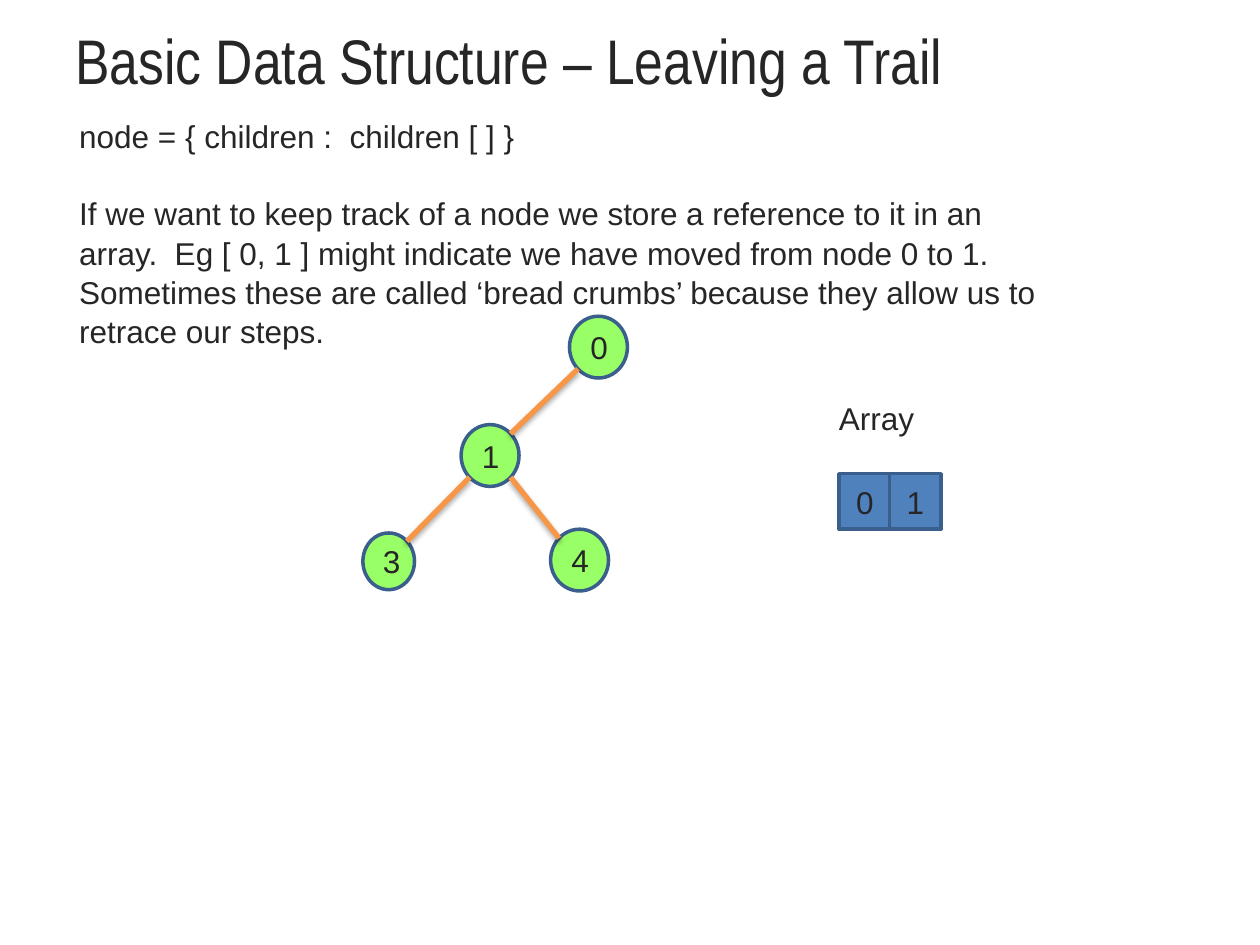
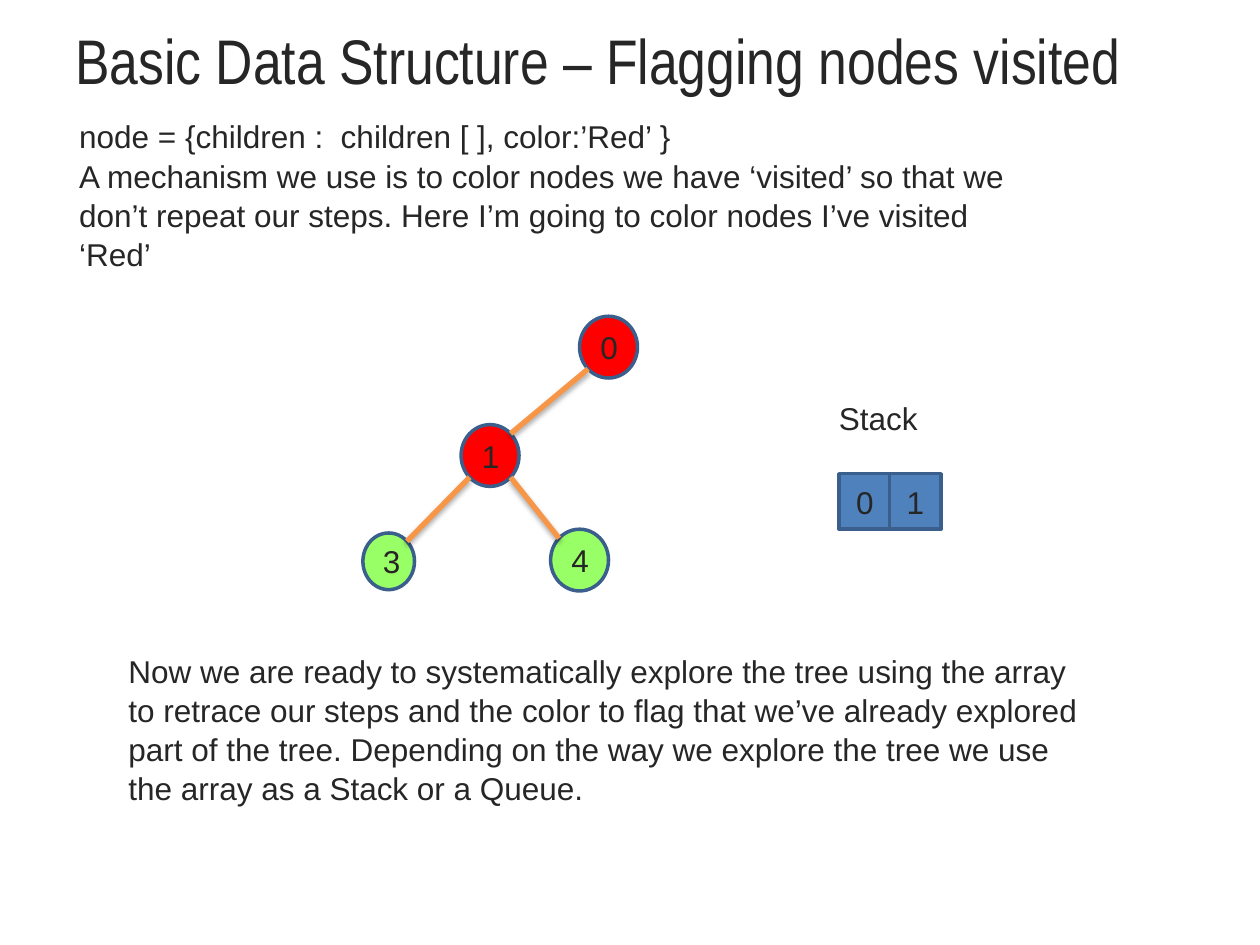
"""Build two slides on trails and visited flags in a small tree."""
from dataclasses import dataclass
from math import sqrt

from lxml import etree
from pptx import Presentation
from pptx.dml.color import RGBColor
from pptx.enum.shapes import MSO_CONNECTOR, MSO_SHAPE
from pptx.enum.text import MSO_ANCHOR, PP_ALIGN
from pptx.oxml.ns import qn
from pptx.util import Emu, Pt

OVAL, RECTANGLE = MSO_SHAPE.OVAL, MSO_SHAPE.RECTANGLE
STRAIGHT = MSO_CONNECTOR.STRAIGHT
TOP, MIDDLE = MSO_ANCHOR.TOP, MSO_ANCHOR.MIDDLE
LEFT, CENTER = PP_ALIGN.LEFT, PP_ALIGN.CENTER


@dataclass(frozen=True)
class Theme:
    """Colours, fonts and sizes of the deck."""
    ink: str = "262626"
    outline: str = "3A5F8C"
    unvisited: str = "99FF66"
    visited: str = "FF0000"
    cell: str = "4F81BD"
    edge: str = "F79646"
    shadow: str = "000000"
    title_font: str = "Arial Narrow"
    body_font: str = "Arial"
    title_size: int = 36
    body_size: int = 18
    outline_width: int = 2
    edge_width: int = 3
    line_spacing: float = 1.04
    blank_line: float = 21.6


THEME = Theme()
EMU_PER_PX = 9144
SLIDE_SIZE = (1000, 750)
TITLE_BOX = (50, 8, 900, 78)
LABEL_BOX = (656, 311, 179, 40)
FIRST_CELL = (666, 376, 41, 44)
CELL_STEP = 40

TREE_NODES = {
    "0": (452, 251, 46, 49),
    "1": (366, 337, 46, 49),
    "3": (288, 423, 41, 45),
    "4": (437, 420, 46, 49),
}
TREE_EDGES = [("0", "1"), ("1", "3"), ("1", "4")]

SLIDES = [
    {
        "title": "Basic Data Structure – Leaving a Trail",
        "root_shift": 0,
        "visited": "",
        "label": "Array",
        "trail": "01",
        "gap": THEME.blank_line,
        "texts": [
            ((53, 87, 782, 192), [
                "node = { children :  children [ ] }",
                "If we want to keep track of a node we store a reference to it in an "
                "array.  Eg [ 0, 1 ] might indicate we have moved from node 0 to 1. "
                "Sometimes these are called ‘bread crumbs’ because they allow us to "
                "retrace our steps.",
            ]),
        ],
    },
    {
        "title": "Basic Data Structure – Flagging nodes visited",
        "root_shift": 8,
        "visited": "01",
        "label": "Stack",
        "trail": "01",
        "gap": 0,
        "texts": [
            ((53, 87, 782, 131), [
                "node = {children :  children [ ], color:’Red’ }",
                "A mechanism we use is to color nodes we have ‘visited’ so that we "
                "don’t repeat our steps. Here I’m going to color nodes I’ve visited "
                "‘Red’",
            ]),
            ((92, 511, 782, 131), [
                "Now we are ready to systematically explore the tree using the array "
                "to retrace our steps and the color to flag that we’ve already "
                "explored part of the tree. Depending on the way we explore the tree "
                "we use the array as a Stack or a Queue.",
            ]),
        ],
    },
]


def px(*lengths):
    return [Emu(round(length * EMU_PER_PX)) for length in lengths]


def style_paragraph(para, text, font=THEME.body_font, size=THEME.body_size, align=LEFT):
    para.text = text
    para.alignment = align
    para.font.name = font
    para.font.size = Pt(size)
    para.font.color.rgb = RGBColor.from_string(THEME.ink)


def add_text(page, box, lines, gap=0, spacing=THEME.line_spacing, anchor=TOP, **style):
    frame = page.shapes.add_textbox(*px(*box)).text_frame
    frame.word_wrap = True
    frame.vertical_anchor = anchor
    for index, line in enumerate(lines):
        para = frame.add_paragraph() if index else frame.paragraphs[0]
        style_paragraph(para, line, **style)
        para.line_spacing = spacing
        if index:
            para.space_before = Pt(gap)


def add_labelled_shape(page, kind, box, text, fill):
    shape = page.shapes.add_shape(kind, *px(*box))
    shape.shadow.inherit = False
    shape.fill.solid()
    shape.fill.fore_color.rgb = RGBColor.from_string(fill)
    shape.line.color.rgb = RGBColor.from_string(THEME.outline)
    shape.line.width = Pt(THEME.outline_width)
    shape.text_frame.vertical_anchor = MIDDLE
    style_paragraph(shape.text_frame.paragraphs[0], text, align=CENTER)


def diagonal_point(box, side, drop):
    left, top, width, height = box
    return (left + width / 2 * (1 + side / sqrt(2)),
            top + height / 2 * (1 + drop / sqrt(2)))


def add_edge(page, parent, child):
    side = 1 if child[0] > parent[0] else -1
    start = diagonal_point(parent, side, 1)
    end = diagonal_point(child, -side, -1)
    edge = page.shapes.add_connector(STRAIGHT, *px(*start, *end))
    edge.line.color.rgb = RGBColor.from_string(THEME.edge)
    edge.line.width = Pt(THEME.edge_width)
    effects = etree.SubElement(edge._element.spPr, qn("a:effectLst"))
    shadow = etree.SubElement(effects, qn("a:outerShdw"), blurRad=str(Pt(3.1)),
                              dist=str(Pt(1.8)), dir="5400000", rotWithShape="0")
    color = etree.SubElement(shadow, qn("a:srgbClr"), val=THEME.shadow)
    etree.SubElement(color, qn("a:alpha"), val="35000")


def add_tree(page, root_shift, visited):
    left, *rest = TREE_NODES["0"]
    nodes = TREE_NODES | {"0": (left + root_shift, *rest)}
    for name, box in nodes.items():
        fill = THEME.visited if name in visited else THEME.unvisited
        add_labelled_shape(page, OVAL, box, name, fill)
    for parent, child in TREE_EDGES:
        add_edge(page, nodes[parent], nodes[child])


def add_trail(page, label, trail):
    add_text(page, LABEL_BOX, [label])
    left, *rest = FIRST_CELL
    for index, name in enumerate(trail):
        box = (left + index * CELL_STEP, *rest)
        add_labelled_shape(page, RECTANGLE, box, name, THEME.cell)


def main():
    deck = Presentation()
    deck.slide_width, deck.slide_height = px(*SLIDE_SIZE)
    for content in SLIDES:
        page = deck.slides.add_slide(deck.slide_layouts[6])
        add_text(page, TITLE_BOX, [content["title"]], spacing=1.0, anchor=MIDDLE,
                 font=THEME.title_font, size=THEME.title_size)
        add_tree(page, content["root_shift"], content["visited"])
        for box, lines in content["texts"]:
            add_text(page, box, lines, gap=content["gap"])
        add_trail(page, content["label"], content["trail"])
    deck.save("out.pptx")


if __name__ == "__main__":
    main()
